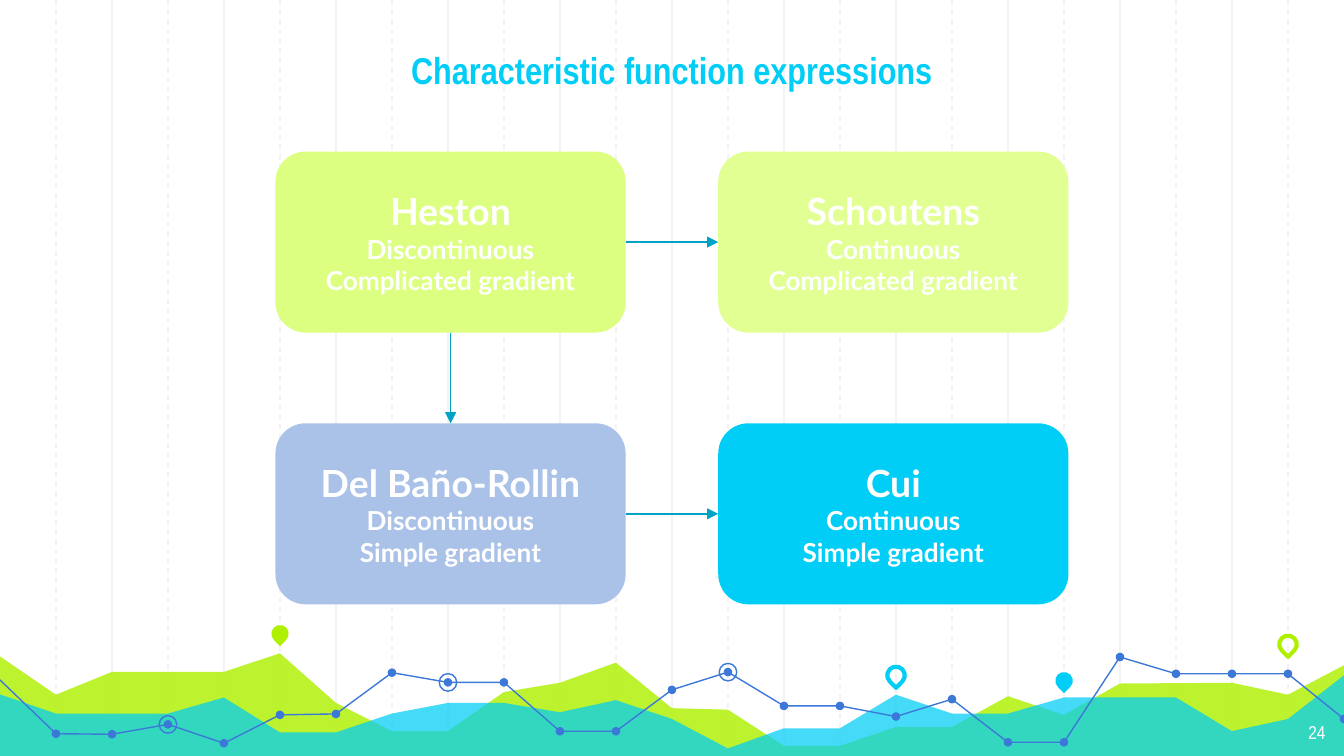
from lxml.etree import SubElement
from pptx import Presentation
from pptx.dml.color import RGBColor
from pptx.enum.dml import MSO_LINE
from pptx.enum.shapes import MSO_CONNECTOR, MSO_SHAPE
from pptx.enum.text import MSO_ANCHOR, PP_ALIGN
from pptx.oxml.ns import qn
from pptx.util import Pt

DASH = MSO_LINE.DASH
STRAIGHT = MSO_CONNECTOR.STRAIGHT
OVAL, DROP, ROUND = MSO_SHAPE.OVAL, MSO_SHAPE.TEAR, MSO_SHAPE.ROUNDED_RECTANGLE
TOP, MIDDLE, BOTTOM = MSO_ANCHOR.TOP, MSO_ANCHOR.MIDDLE, MSO_ANCHOR.BOTTOM
CENTER, RIGHT = PP_ALIGN.CENTER, PP_ALIGN.RIGHT

LIME, CYAN, BLUE, TEAL = "AFF000", "00CEF6", "3C78D8", "00A3C4"
GREY, WHITE = "F3F3F3", "FFFFFF"
WIDE, HIGH = 720, 405
STEP = 30  # gap between the vertical grid lines

deck = Presentation()
deck.slide_width, deck.slide_height = Pt(WIDE), Pt(HIGH)
slide = deck.slides.add_slide(deck.slide_layouts[6])
shapes = slide.shapes


def paint(shape, fill=None, edge=None, width=0.75):
    """Set fill and outline, either of which may be absent, and drop the shadow."""
    shape.shadow.inherit = False
    for part, tone in ((shape.fill, fill), (shape.line.fill, edge)):
        if tone:
            part.solid()
            part.fore_color.rgb = RGBColor.from_string(tone)
        else:
            part.background()
    if edge:
        shape.line.width = Pt(width)
    return shape


def rule(x1, y1, x2, y2, tone):
    """Add a thin straight connector without a shadow."""
    line = shapes.add_connector(STRAIGHT, Pt(x1), Pt(y1), Pt(x2), Pt(y2))
    line.line.color.rgb = RGBColor.from_string(tone)
    line.line.width = Pt(0.75)
    SubElement(line.element.spPr, qn("a:effectLst"))
    return line


# Vertical grid: solid lines on even columns, dashed on odd ones
for first in (2, 1):
    for col in range(first, 24, 2):
        line = rule(col * STEP, 0, col * STEP, 406.8, GREY)
        if first == 1:
            line.line.dash_style = DASH

# Translucent hills, as (column, height) pairs
lime = [(0, 350.6), (1, 372.2), (2, 360), (4, 360), (5, 350), (6, 376.6),
        (7, 391.7), (8, 391.7), (9, 370.8), (10, 365.8), (11, 355), (12, 379.4),
        (13, 380.2), (14, 399.6), (15, 399.6), (16, 389.5), (17, 389.5),
        (18, 373), (19, 383), (20, 366.2), (22, 365.8), (23, 372.2), (24, 355.7)]
cyan = [(0, 371.5), (1, 382.3), (3, 382.3), (4, 373.7), (5, 392.4), (6, 392.4),
        (7, 382.3), (8, 376.6), (9, 376.6), (10, 381.6), (11, 375.1), (12, 385.2),
        (13, 401), (14, 390.2), (15, 390.2), (16, 372.2), (17, 382.3),
        (18, 382.3), (19, 373.7), (21, 373.7), (22, 391.7), (23, 385.2), (24, 360.7)]
for hill, tone, alpha in ((lime, LIME, 82), (cyan, CYAN, 73)):
    spots = [(Pt(col * STEP), Pt(y)) for col, y in hill]
    base = Pt(406.5)
    path = shapes.build_freeform(Pt(-2), base)
    path.add_line_segments([(Pt(-1.5), spots[0][1]), *spots[1:-1],
                            (Pt(721.4), spots[-1][1]), (Pt(721.4), base)])
    area = paint(path.convert_to_shape(), tone)
    shade = area.element.spPr.find(".//" + qn("a:srgbClr"))
    SubElement(shade, qn("a:alpha"), val=str(alpha * 1000))

# Map pins above the hills
SIZE = 9.4
for col, y, fill, edge in ((5, 339.5, LIME, None), (16, 361.8, None, CYAN),
                           (19, 364.7, CYAN, None), (23, 345.2, None, LIME)):
    pin = shapes.add_shape(DROP, Pt(col * STEP - SIZE / 2), Pt(y - SIZE / 2),
                           Pt(SIZE), Pt(SIZE))
    pin.rotation = 135
    paint(pin, fill, edge, 2.25)

# Line with a dot on every column, and a ring on some
trend = [364.3, 393.1, 393.4, 388.1, 398.2, 383, 382.5, 360.4, 365.6, 365.6,
         391.8, 391.8, 369.6, 360.1, 378.2, 378.2, 383.9, 374.6, 397.7, 397.7,
         352, 361, 361, 361, 385.2]
spots = [(Pt(col * STEP), Pt(y)) for col, y in enumerate(trend)]
path = shapes.build_freeform(*spots[0])
path.add_line_segments(spots[1:], close=False)
paint(path.convert_to_shape(), edge=BLUE)
dots = [(col, 4.6, BLUE, None) for col in range(1, 25)]
rings = [(col, SIZE, None, BLUE) for col in (3, 8, 13)]
for col, size, fill, edge in dots + rings:
    dot = shapes.add_shape(OVAL, Pt(col * STEP - size / 2), Pt(trend[col] - size / 2),
                           Pt(size), Pt(size))
    paint(dot, fill, edge)

# Text blocks: shape, anchor, alignment, font, colour, bold, (text, size) lines
title = shapes.add_textbox(Pt(84.5), Pt(0), Pt(551), Pt(56.2))
number = shapes.add_textbox(Pt(673.9), Pt(380.2), Pt(43.2), Pt(25.2))
blocks = [
    (title, BOTTOM, CENTER, "Arial Narrow", CYAN, True,
     [("Characteristic function expressions", 20)]),
    (number, TOP, RIGHT, "Arial Narrow", WHITE, False, [("24", 10)]),
]

# Two by two models
cards = {}
for row, col, tone, name, kind, slope in (
        (0, 1, "E2FF93", "Schoutens", "Continuous", "Complicated gradient"),
        (1, 1, CYAN, "Cui", "Continuous", "Simple gradient"),
        (0, 0, "DCFF81", "Heston", "Discontinuous", "Complicated gradient"),
        (1, 0, "AAC2E8", "Del Baño-Rollin", "Discontinuous", "Simple gradient")):
    card = shapes.add_shape(ROUND, Pt(147.6 + 237.2 * col), Pt(81.2 + 145.6 * row),
                            Pt(187.6), Pt(97))
    cards[row, col] = paint(card, tone)
    blocks.append((card, MIDDLE, CENTER, "Lato", WHITE, True,
                   [(name, 20), (kind, 14), (slope, 14)]))

for shape, anchor, align, font, tone, bold, lines in blocks:
    frame = shape.text_frame
    frame.word_wrap = True
    frame.vertical_anchor = anchor
    frame.margin_left = frame.margin_right = Pt(7.2)
    frame.margin_top = frame.margin_bottom = Pt(7.2)
    for i, (text, size) in enumerate(lines):
        para = frame.add_paragraph() if i else frame.paragraphs[0]
        para.alignment = align
        run = para.add_run()
        run.text = text
        run.font.name, run.font.size, run.font.bold = font, Pt(size), bold
        run.font.color.rgb = RGBColor.from_string(tone)

# Arrows between the models
for start, out, end, into in (((0, 0), 3, (0, 1), 1), ((1, 0), 3, (1, 1), 1),
                              ((0, 0), 2, (1, 0), 0)):
    arrow = rule(0, 0, 0, 0, TEAL)
    arrow.begin_connect(cards[start], out)
    arrow.end_connect(cards[end], into)
    SubElement(arrow.element.spPr.find(qn("a:ln")), qn("a:tailEnd"), type="triangle")

deck.save("out.pptx")
